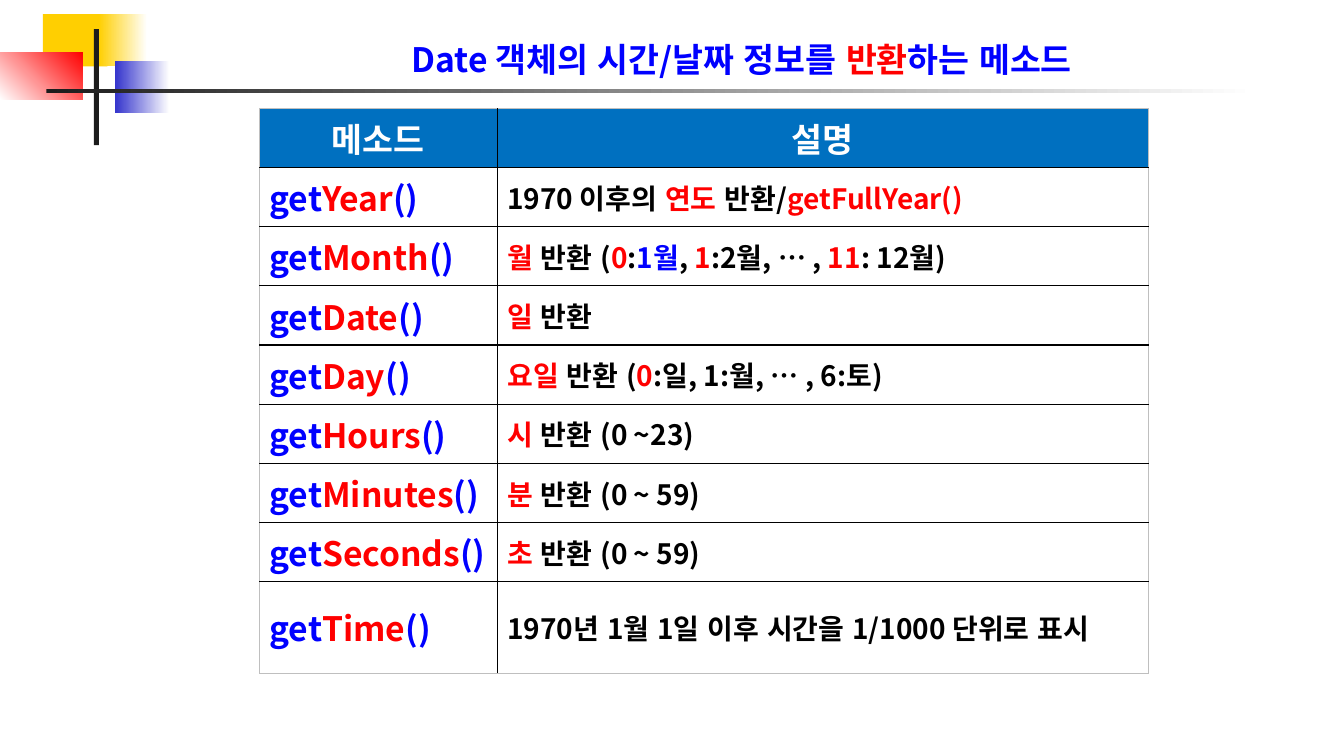
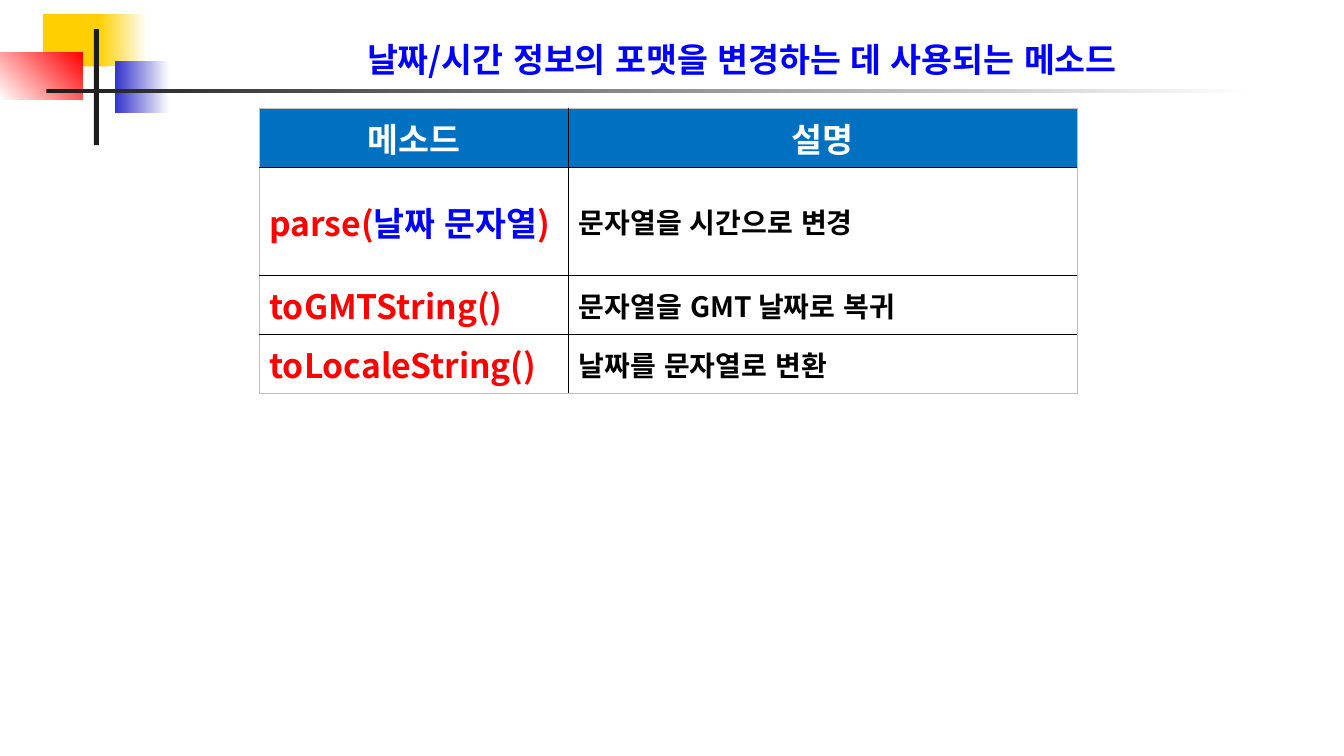
from dataclasses import dataclass

from lxml.etree import SubElement
from pptx import Presentation
from pptx.dml.color import RGBColor
from pptx.enum.lang import MSO_LANGUAGE_ID
from pptx.enum.shapes import MSO_SHAPE
from pptx.enum.text import MSO_ANCHOR, PP_ALIGN
from pptx.oxml.ns import qn
from pptx.util import Emu, Pt


@dataclass(frozen=True)
class Theme:
    font: str = "Noto Sans CJK KR"
    heading_size: int = 24
    body_size: int = 20
    line_spacing: float = 1.45
    blue: str = "0000FF"
    red: str = "FF0000"
    black: str = "000000"
    white: str = "FFFFFF"
    header: str = "0070C0"
    yellow: str = "FFCF01"
    indigo: str = "3333CC"
    charcoal: str = "1C1C1C"
    edge: str = "BFBFBF"
    inner_line: float = 1
    edge_line: float = 0.5


THEME = Theme()
SLIDE_WIDTH = Emu(12192000)
SLIDE_HEIGHT = Emu(6858000)
TABLE_LEFT, TABLE_TOP = 19.3, 14.35
CELL_PADDING = 1.38


def across(percent):
    return Emu(round(SLIDE_WIDTH * percent / 100))


def down(percent):
    return Emu(round(SLIDE_HEIGHT * percent / 100))


def frame(left, top, width, height):
    return across(left), down(top), across(width), down(height)


def row_height(lines, size):
    text_height = Pt(lines * size * THEME.line_spacing)
    return CELL_PADDING + 100 * text_height / SLIDE_HEIGHT


def red(text):
    return text, THEME.red


def blue(text):
    return text, THEME.blue


def black(text):
    return text, THEME.black


def getter(name):
    return [blue("get"), red(name), blue("()")]


def write_runs(paragraph, runs, size, alignment=PP_ALIGN.LEFT):
    paragraph.alignment = alignment
    for text, color in runs:
        run = paragraph.add_run()
        run.text = text
        run.font.size = Pt(size)
        run.font.bold = True
        run.font.name = THEME.font
        run.font.language_id = MSO_LANGUAGE_ID.KOREAN
        run.font.color.rgb = RGBColor.from_string(color)
        east_asian = SubElement(run._r.get_or_add_rPr(), qn("a:ea"))
        east_asian.set("typeface", THEME.font)


def add_block(slide, position, start, end=None, angle=0):
    shape = slide.shapes.add_shape(MSO_SHAPE.RECTANGLE, *frame(*position))
    shape.shadow.inherit = False
    shape.line.fill.background()
    if end is None:
        shape.fill.solid()
        shape.fill.fore_color.rgb = RGBColor.from_string(start)
        return
    shape.fill.gradient()
    shape.fill.gradient_angle = angle
    for stop, color in zip(shape.fill.gradient_stops, (start, end)):
        stop.color.rgb = RGBColor.from_string(color)


def add_decoration(slide):
    add_block(slide, (3.2, 1.87, 4.8, 6.93), THEME.yellow)
    add_block(slide, (7.35, 1.87, 3.6, 6.93), THEME.yellow, THEME.white)
    add_block(slide, (8.55, 8.1, 4.05, 6.85), THEME.indigo, THEME.white)
    add_block(slide, (0, 6.93, 6.15, 6.3), THEME.white, THEME.red, angle=45)
    add_block(slide, (6.98, 3.87, 0.38, 15.33), THEME.charcoal)
    add_block(slide, (3.45, 11.8, 90, 0.5), THEME.charcoal, THEME.white)


def add_title(slide, runs):
    text_box = slide.shapes.add_textbox(*frame(12.6, 2.95, 85.2, 8.13))
    text_frame = text_box.text_frame
    text_frame.word_wrap = True
    text_frame.vertical_anchor = MSO_ANCHOR.BOTTOM
    write_runs(text_frame.paragraphs[0], runs, THEME.heading_size, PP_ALIGN.CENTER)


def set_borders(cell, outer_sides):
    properties = cell._tc.get_or_add_tcPr()
    for side, is_outer in outer_sides.items():
        width = THEME.edge_line if is_outer else THEME.inner_line
        border = SubElement(properties, qn(f"a:ln{side}"), w=str(Pt(width)))
        fill = SubElement(border, qn("a:solidFill"))
        color = THEME.edge if is_outer else THEME.black
        SubElement(fill, qn("a:srgbClr"), val=color)


def add_method_table(slide, column_widths, method_rows, tall_rows):
    header = [[("메소드", THEME.white)], [("설명", THEME.white)]]
    rows = [header, *method_rows]
    last_row, last_column = len(rows) - 1, len(column_widths) - 1
    single_line = row_height(1, THEME.heading_size)
    heights = [tall_rows.get(index, single_line) for index in range(len(rows))]
    position = frame(TABLE_LEFT, TABLE_TOP, sum(column_widths), sum(heights))
    table = slide.shapes.add_table(len(rows), len(column_widths), *position).table
    table.first_row = False
    table.horz_banding = False
    for column, width in zip(table.columns, column_widths):
        column.width = across(width)
    for row_index, row in enumerate(rows):
        table.rows[row_index].height = down(heights[row_index])
        is_header = row_index == 0
        for column_index, runs in enumerate(row):
            cell = table.cell(row_index, column_index)
            cell.vertical_anchor = MSO_ANCHOR.MIDDLE
            set_borders(cell, {
                "L": column_index == 0,
                "R": column_index == last_column,
                "T": is_header,
                "B": row_index == last_row,
            })
            if is_header:
                cell.fill.solid()
                cell.fill.fore_color.rgb = RGBColor.from_string(THEME.header)
            else:
                cell.fill.background()
            is_large = is_header or column_index == 0
            size = THEME.heading_size if is_large else THEME.body_size
            alignment = PP_ALIGN.CENTER if is_header else PP_ALIGN.LEFT
            write_runs(cell.text_frame.paragraphs[0], runs, size, alignment)


def add_method_slide(presentation, title, column_widths, method_rows, tall_rows):
    slide = presentation.slides.add_slide(presentation.slide_layouts[6])
    add_decoration(slide)
    add_title(slide, title)
    add_method_table(slide, column_widths, method_rows, tall_rows)


def main():
    presentation = Presentation()
    presentation.slide_width = SLIDE_WIDTH
    presentation.slide_height = SLIDE_HEIGHT
    add_method_slide(
        presentation,
        [blue("Date 객체의 시간/날짜 정보를 "), red("반환"), blue("하는 메소드")],
        (17.7, 48.45),
        [
            (getter("Year"), [black("1970 이후의 "), red("연도"), black(" 반환/"),
                              red("getFullYear()")]),
            (getter("Month"), [red("월"), black(" 반환 ("), red("0"), black(":"),
                               blue("1월"), black(", "), red("1"),
                               black(":2월, … , "), red("11"), black(": 12월)")]),
            (getter("Date"), [red("일"), black(" 반환")]),
            (getter("Day"), [red("요일"), black(" 반환 ("), red("0"),
                             black(":일, 1:월, … , 6:토)")]),
            (getter("Hours"), [red("시"), black(" 반환 (0 ~23)")]),
            (getter("Minutes"), [red("분"), black(" 반환 (0 ~ 59)")]),
            (getter("Seconds"), [red("초"), black(" 반환 (0 ~ 59)")]),
            (getter("Time"), [black("1970년 1월 1일 이후 시간을 1/1000 단위로 표시")]),
        ],
        {8: row_height(2, THEME.body_size)},
    )
    add_method_slide(
        presentation,
        [blue("날짜/시간 정보의 포맷을 변경하는 데 사용되는 메소드")],
        (23.03, 37.8),
        [
            ([red("parse("), blue("날짜 문자열"), red(")")],
             [black("문자열을 시간으로 변경")]),
            ([red("toGMTString()")], [black("문자열을 GMT 날짜로 복귀")]),
            ([red("toLocaleString()")], [black("날짜를 문자열로 변환")]),
        ],
        {1: row_height(2, THEME.heading_size)},
    )
    presentation.save("out.pptx")


if __name__ == "__main__":
    main()
